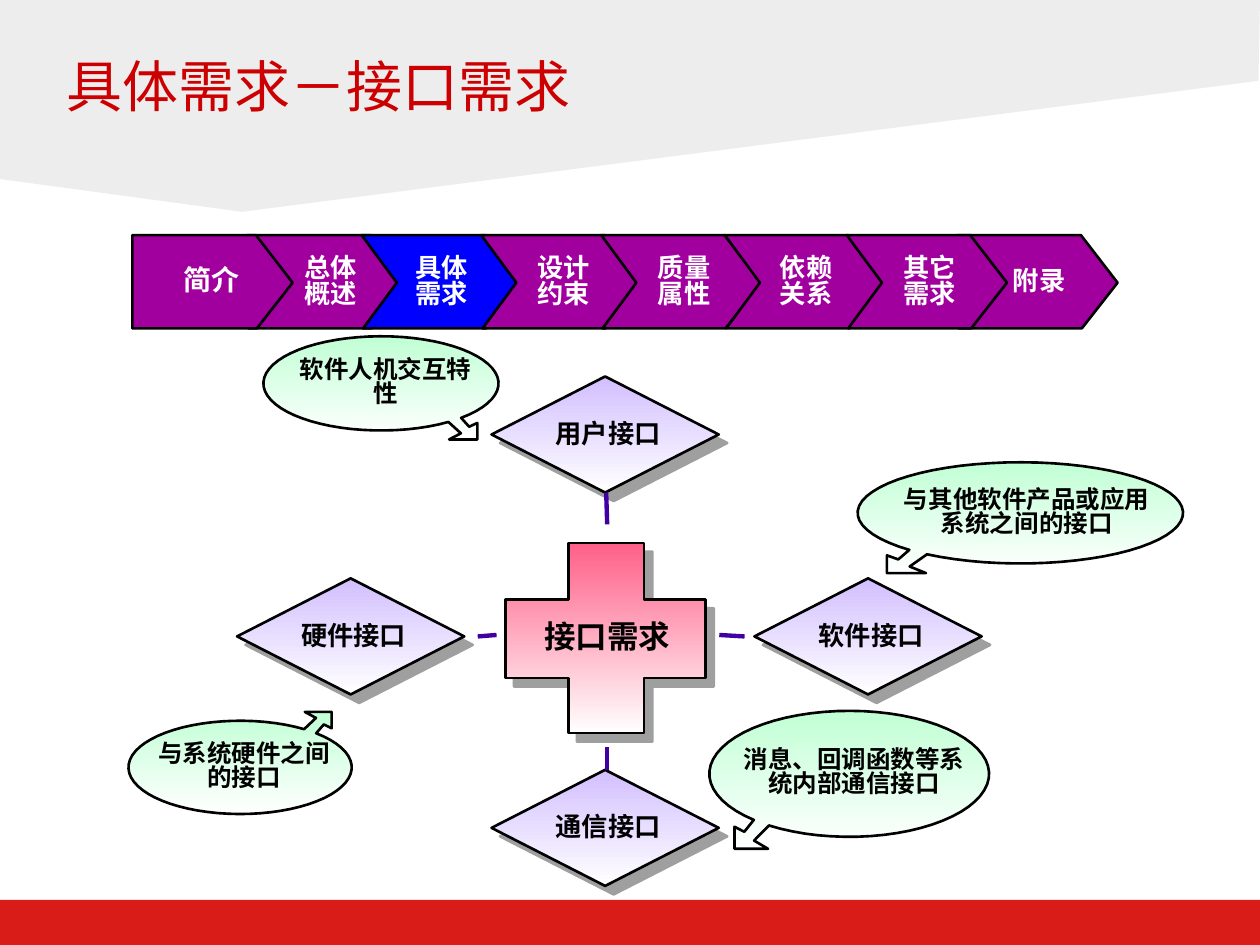
import math
from dataclasses import dataclass

import pptx
import pptx.dml.color
import pptx.enum.shapes
import pptx.enum.text
import pptx.oxml
import pptx.oxml.ns
import pptx.util
from lxml import etree

COLORS = {
    "footer": "D91C17", "banner": "EDEDEE", "title": "CC0000", "stage": "A1009F",
    "current": "0000FF", "white": "FFFFFF", "black": "000000", "cross": "FF6088",
    "diamond": "D2BFFF", "callout": "C1FFD5", "link": "4000A2", "shadow": "404040",
}
FONT = "Noto Sans CJK SC"
Point = tuple[float, float]
Box = tuple[float, float, float, float]


@dataclass
class Stage:
    text: str
    left: float
    text_left: float
    color: str = "stage"
    size: int = 15
    notched: bool = True


@dataclass
class Interface:
    text: str
    left: float
    top: float


@dataclass
class Callout:
    text: str
    center: Point
    radii: Point
    direction: tuple[int, int]
    text_box: Box


STAGES = [
    Stage("总体概述", 4.98, 5.94),
    Stage("具体需求", 7.29, 8.18, color="current"),
    Stage("设计约束", 9.7, 10.64),
    Stage("质量属性", 12.12, 13.06),
    Stage("简介", 2.67, 3.53, size=16, notched=False),
    Stage("附录", 19.3, 20.22),
    Stage("依赖关系", 14.61, 15.52),
    Stage("其它需求", 17.07, 18.01),
]
INTERFACES = [
    Interface("硬件接口", 4.78, 11.66),
    Interface("软件接口", 15.21, 11.66),
    Interface("用户接口", 9.91, 7.59),
    Interface("通信接口", 9.91, 15.52),
]
LINKS = [
    ((12.22, 9.93), (12.24, 10.57)),
    ((14.5, 12.8), (15.01, 12.83)),
    ((12.24, 15.06), (12.24, 15.52)),
    ((10.01, 12.8), (9.63, 12.83)),
]
CALLOUTS = [
    Callout("软件人机交互特性", (7.68, 7.73), (2.37, 0.95), (1, 1), (5.82, 7.14, 3.91, 1.17)),
    Callout("与系统硬件之间的接口", (4.84, 15.47), (2.25, 0.94), (1, -1), (3.07, 14.88, 3.71, 1.17)),
    Callout("与其他软件产品或应用系统之间的接口", (20.57, 10.34), (3.28, 1.02), (-1, 1),
            (18.01, 9.73, 5.38, 1.24)),
    Callout("消息、回调函数等系统内部通信接口", (17.12, 15.6), (2.82, 1.27), (-1, 1),
            (14.91, 14.81, 4.62, 1.55)),
]
ARROW = [(0.68, 1.06), (0.58, 1.19), (0.82, 1.19), (0.82, 0.84), (0.75, 0.92)]


def rgb(name: str) -> pptx.dml.color.RGBColor:
    return pptx.dml.color.RGBColor.from_string(COLORS[name])


def lengths(values) -> list[int]:
    return [pptx.util.Cm(value) for value in values]


def draw_polygon(shapes, points: list[Point]):
    start, *others = [tuple(lengths(point)) for point in points]
    builder = shapes.build_freeform(*start, scale=1.0)
    builder.add_line_segments(others, close=True)
    return builder.convert_to_shape()


def paint(shape, color: str, gradient: bool = False, outlined: bool = True) -> None:
    shape.shadow.inherit = False
    if gradient:
        shape.fill.gradient()
        shape.fill.gradient_angle = 270
        for stop, name in zip(shape.fill.gradient_stops, (color, "white")):
            stop.color.rgb = rgb(name)
    else:
        shape.fill.solid()
        shape.fill.fore_color.rgb = rgb(color)
    if outlined:
        shape.line.color.rgb = rgb("black")
        shape.line.width = pptx.util.Pt(1.5)
    else:
        shape.line.fill.background()


def cast_shadow(shape) -> None:
    effects = shape._element.spPr.find(pptx.oxml.ns.qn("a:effectLst"))
    effects.append(pptx.oxml.parse_xml(
        f'<a:outerShdw {pptx.oxml.ns.nsdecls("a")} blurRad="0" dist="87630" dir="2700000" '
        f'algn="ctr" rotWithShape="0"><a:srgbClr val="{COLORS["shadow"]}">'
        '<a:alpha val="50000"/></a:srgbClr></a:outerShdw>'))


def format_run(run, size: int, color: str, bold: bool, font: str) -> None:
    run.font.size = pptx.util.Pt(size)
    run.font.bold = bold
    run.font.name = font
    run.font.color.rgb = rgb(color)
    east_asian = etree.SubElement(run.font._element, pptx.oxml.ns.qn("a:ea"))
    east_asian.set("typeface", FONT)


def draw_label(shapes, text: str, box: Box, size: int, color: str = "black") -> None:
    frame = shapes.add_textbox(*lengths(box)).text_frame
    frame.text = text
    frame.word_wrap = True
    frame.vertical_anchor = pptx.enum.text.MSO_ANCHOR.MIDDLE
    frame.margin_left = frame.margin_right = frame.margin_top = frame.margin_bottom = 0
    paragraph = frame.paragraphs[0]
    paragraph.alignment = pptx.enum.text.PP_ALIGN.CENTER
    paragraph.line_spacing = 0.83
    format_run(paragraph.runs[0], size, color, True, FONT)


def draw_background(shapes) -> None:
    footer = shapes.add_shape(
        pptx.enum.shapes.MSO_SHAPE.RECTANGLE, *lengths((0, 18.14, 25.4, 0.91)))
    paint(footer, "footer", outlined=False)
    banner = draw_polygon(shapes, [(0, 0), (25.4, 0), (25.37, 1.63), (4.88, 4.27), (0, 3.61)])
    paint(banner, "banner", outlined=False)


def draw_title(shapes, text: str) -> None:
    frame = shapes.add_textbox(*lengths((1.09, 0.91, 19.23, 2.39))).text_frame
    frame.text = text
    frame.word_wrap = True
    format_run(frame.paragraphs[0].runs[0], 32, "title", False, "Times New Roman")


def draw_stage(shapes, stage: Stage) -> None:
    outline = [(0, 0), (2.49, 0), (3.23, 0.96), (2.51, 1.88)]
    outline += [(0.03, 1.88), (0.71, 0.96)] if stage.notched else [(0, 1.88)]
    chevron = draw_polygon(shapes, [(stage.left + x, 4.74 + y) for x, y in outline])
    paint(chevron, stage.color)
    draw_label(shapes, stage.text, (stage.text_left, 5.01, 1.46, 1.36), stage.size, "white")


def draw_cross(shapes, text: str) -> None:
    x1, x2, x3, x4 = 10.19, 11.46, 12.98, 14.22
    y1, y2, y3, y4 = 10.95, 12.09, 13.67, 14.78
    cross = draw_polygon(shapes, [
        (x2, y1), (x2, y2), (x1, y2), (x1, y3), (x2, y3), (x2, y4),
        (x3, y4), (x3, y3), (x4, y3), (x4, y2), (x3, y2), (x3, y1)])
    paint(cross, "cross", gradient=True)
    cast_shadow(cross)
    draw_label(shapes, text, (10.77, 12.17, 2.95, 1.42), 18)


def draw_interface(shapes, interface: Interface) -> None:
    diamond = shapes.add_shape(
        pptx.enum.shapes.MSO_SHAPE.DIAMOND, *lengths((interface.left, interface.top, 4.58, 2.34)))
    paint(diamond, "diamond", gradient=True)
    cast_shadow(diamond)
    draw_label(shapes, interface.text, (interface.left + 1.01, interface.top + 0.5, 2.68, 1.37), 15)


def draw_link(shapes, start: Point, end: Point) -> None:
    link = shapes.add_connector(
        pptx.enum.shapes.MSO_CONNECTOR.STRAIGHT, *lengths(start + end))
    link.line.color.rgb = rgb("link")
    link.line.width = pptx.util.Pt(2.5)
    etree.SubElement(link._element.spPr, pptx.oxml.ns.qn("a:effectLst"))


def draw_callout(shapes, callout: Callout) -> None:
    angles = [math.radians(47 - 352 * step / 64) for step in range(65)]
    outline = [(math.cos(angle), math.sin(angle)) for angle in angles] + ARROW
    (center_x, center_y), (radius_x, radius_y) = callout.center, callout.radii
    side_x, side_y = callout.direction
    balloon = draw_polygon(shapes, [
        (center_x + side_x * radius_x * x, center_y + side_y * radius_y * y) for x, y in outline])
    paint(balloon, "callout", gradient=True)
    draw_label(shapes, callout.text, callout.text_box, 14)


def main() -> None:
    presentation = pptx.Presentation()
    presentation.slide_width, presentation.slide_height = lengths((25.4, 19.05))
    slide = presentation.slides.add_slide(presentation.slide_layouts[6])
    draw_background(slide.shapes)
    draw_title(slide.shapes, "具体需求－接口需求")
    process = slide.shapes.add_group_shape().shapes
    for stage in STAGES:
        draw_stage(process, stage)
    draw_cross(slide.shapes.add_group_shape().shapes, "接口需求")
    for interface in INTERFACES:
        draw_interface(slide.shapes.add_group_shape().shapes, interface)
    for start, end in LINKS:
        draw_link(slide.shapes, start, end)
    for callout in CALLOUTS:
        draw_callout(slide.shapes.add_group_shape().shapes, callout)
    presentation.save("out.pptx")


if __name__ == "__main__":
    main()
